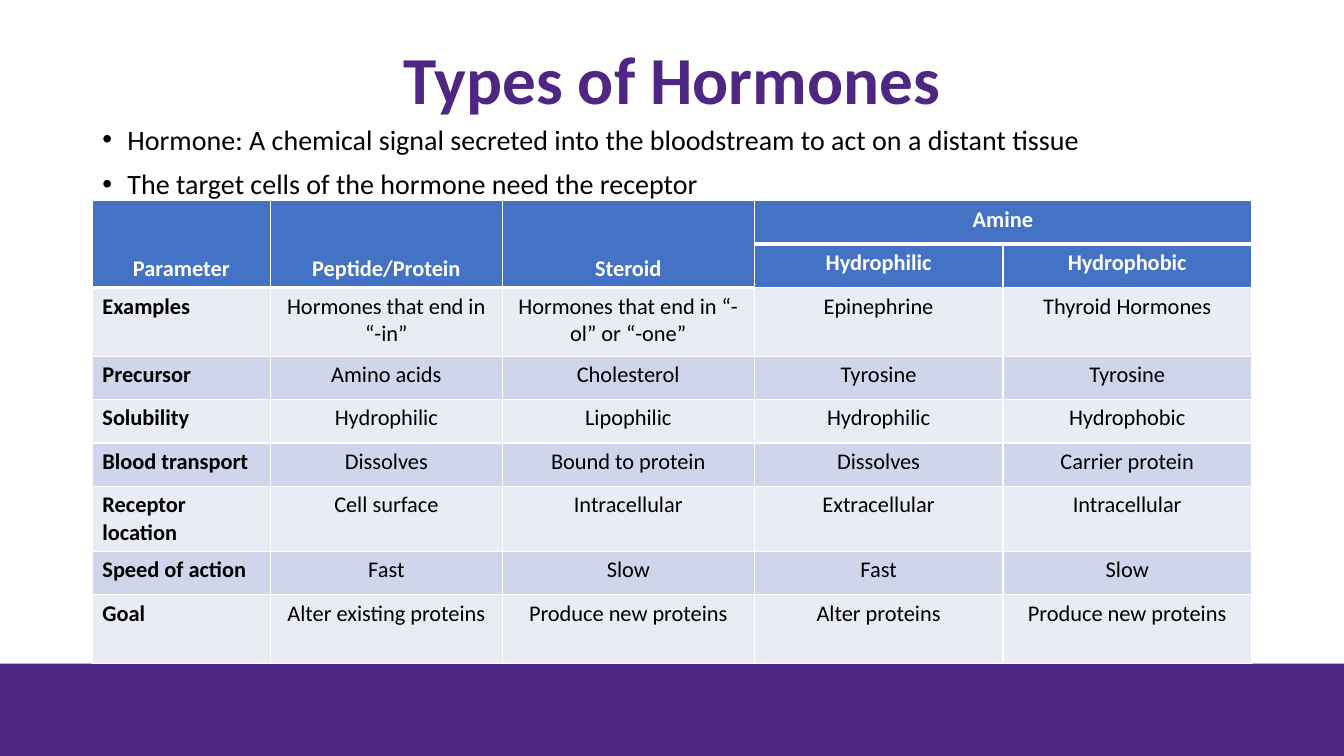
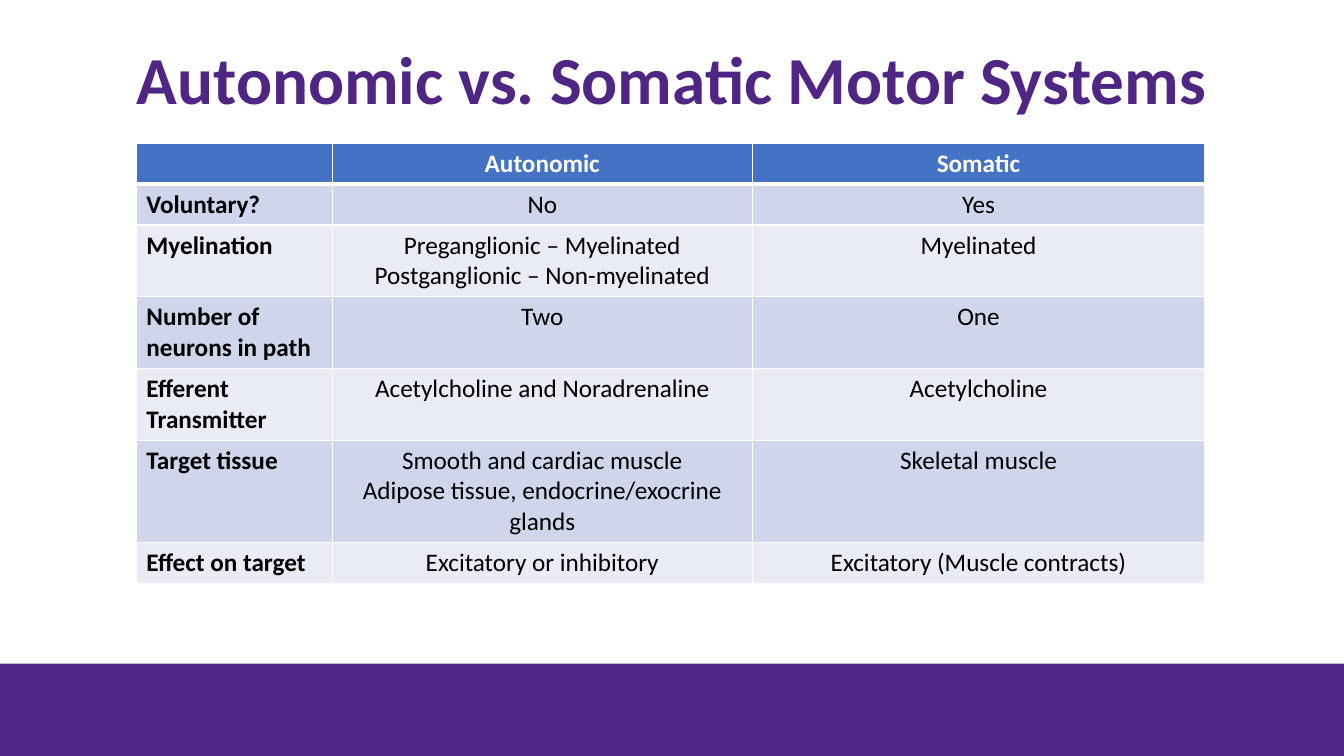
import dataclasses

import pptx
import pptx.dml.color
import pptx.enum.shapes
import pptx.enum.text
import pptx.oxml
import pptx.oxml.ns
import pptx.util

Pt = pptx.util.Pt
ALIGN = pptx.enum.text.PP_ALIGN
ANCHOR = pptx.enum.text.MSO_ANCHOR


@dataclasses.dataclass(frozen=True)
class Theme:
    font: str = "Calibri"
    purple: str = "4F2683"
    header: str = "4472C4"
    band_dark: str = "CFD5EA"
    band_light: str = "E9EBF5"
    white: str = "FFFFFF"
    black: str = "000000"
    title_size: int = 48
    body_size: int = 20
    width: int = 960
    height: int = 540
    margin: int = 66
    footer_top: int = 474


THEME = Theme()

HORMONE_FACTS = [
    "Hormone: A chemical signal secreted into the bloodstream to act on a distant tissue",
    "The target cells of the hormone need the receptor",
]
HORMONE_ROWS = [
    ["Parameter", "Peptide/Protein", "Steroid", "Amine", ""],
    ["", "", "", "Hydrophilic", "Hydrophobic"],
    ["Examples", "Hormones that end in “-in”", "Hormones that end in “-ol” or “-one”",
     "Epinephrine", "Thyroid Hormones"],
    ["Precursor", "Amino acids", "Cholesterol", "Tyrosine", "Tyrosine"],
    ["Solubility", "Hydrophilic", "Lipophilic", "Hydrophilic", "Hydrophobic"],
    ["Blood transport", "Dissolves", "Bound to protein", "Dissolves", "Carrier protein"],
    ["Receptor location", "Cell surface", "Intracellular", "Extracellular", "Intracellular"],
    ["Speed of action", "Fast", "Slow", "Fast", "Slow"],
    ["Goal", "Alter existing proteins", "Produce new proteins", "Alter proteins",
     "Produce new proteins"],
]
MOTOR_ROWS = [
    ["", "Autonomic", "Somatic"],
    ["Voluntary?", "No", "Yes"],
    ["Myelination", "Preganglionic – Myelinated\nPostganglionic – Non-myelinated", "Myelinated"],
    ["Number of neurons in path", "Two", "One"],
    ["Efferent Transmitter", "Acetylcholine and Noradrenaline", "Acetylcholine"],
    ["Target tissue", "Smooth and cardiac muscle\nAdipose tissue, endocrine/exocrine glands",
     "Skeletal muscle"],
    ["Effect on target", "Excitatory or inhibitory", "Excitatory (Muscle contracts)"],
]


def rgb(color):
    return pptx.dml.color.RGBColor.from_string(color)


def add_bullet(p, indent):
    pPr = p._p.get_or_add_pPr()
    pPr.set("marL", str(Pt(indent)))
    pPr.set("indent", str(-Pt(indent)))
    ns = pptx.oxml.ns.nsdecls("a")
    pPr.append(pptx.oxml.parse_xml(f'<a:buFont {ns} typeface="Arial"/>'))
    pPr.append(pptx.oxml.parse_xml(f'<a:buChar {ns} char="•"/>'))


def write_text(tf, lines, size, color=THEME.black, bold=False, align=ALIGN.LEFT,
               line_spacing=None, space_before=0, bullet_indent=0):
    """Fill a text frame with one formatted paragraph per line."""
    tf.word_wrap = True
    for i, line in enumerate(lines):
        p = tf.add_paragraph() if i else tf.paragraphs[0]
        p.alignment = align
        if line_spacing:
            p.line_spacing = line_spacing
        if i and space_before:
            p.space_before = Pt(space_before)
        if bullet_indent:
            add_bullet(p, bullet_indent)
        r = p.add_run()
        r.text = line
        r.font.name = THEME.font
        r.font.size = Pt(size)
        r.font.bold = bold
        r.font.color.rgb = rgb(color)


def add_text(slide, lines, left, top, width, height, anchor=ANCHOR.TOP, **text_format):
    sp = slide.shapes.add_textbox(Pt(left), Pt(top), Pt(width), Pt(height))
    sp.text_frame.vertical_anchor = anchor
    write_text(sp.text_frame, lines, **text_format)


def add_titled_slide(prs, title):
    """Add a slide with the shared title and footer band."""
    slide = prs.slides.add_slide(prs.slide_layouts[6])
    add_text(slide, [title], THEME.margin, 16, THEME.width - 2 * THEME.margin, 86,
             anchor=ANCHOR.MIDDLE, size=THEME.title_size, color=THEME.purple, bold=True,
             align=ALIGN.CENTER, line_spacing=0.9)
    sp = slide.shapes.add_shape(pptx.enum.shapes.MSO_SHAPE.RECTANGLE, 0, Pt(THEME.footer_top),
                                Pt(THEME.width), Pt(THEME.height - THEME.footer_top))
    sp.shadow.inherit = False
    sp.fill.solid()
    sp.fill.fore_color.rgb = rgb(THEME.purple)
    sp.line.fill.background()
    return slide


def set_borders(cell, bottom):
    tcPr = cell._tc.get_or_add_tcPr()
    for side, width in (("L", 1), ("R", 1), ("T", 1), ("B", bottom)):
        tcPr.append(pptx.oxml.parse_xml(
            f'<a:ln{side} {pptx.oxml.ns.nsdecls("a")} w="{Pt(width)}"><a:solidFill>'
            f'<a:srgbClr val="{THEME.white}"/></a:solidFill></a:ln{side}>'))


def add_banded_table(slide, rows, left, top, col_widths, row_heights, size, header_rows=1):
    """Add a table with a blue header, bold row labels and alternating bands."""
    frame = slide.shapes.add_table(len(rows), len(col_widths), Pt(left), Pt(top),
                                   Pt(sum(col_widths)), Pt(sum(row_heights)))
    table = frame.table
    table.first_row = table.horz_banding = False
    for column, width in zip(table.columns, col_widths):
        column.width = Pt(width)
    for i, (row, height) in enumerate(zip(rows, row_heights)):
        table.rows[i].height = Pt(height)
        is_header = i < header_rows
        band = THEME.band_dark if i % 2 else THEME.band_light
        for j, text in enumerate(row):
            cell = table.cell(i, j)
            set_borders(cell, bottom=3 if i == 0 else 1)
            cell.fill.solid()
            cell.fill.fore_color.rgb = rgb(THEME.header if is_header else band)
            if text:
                write_text(cell.text_frame, text.split("\n"), size,
                           color=THEME.white if is_header else THEME.black,
                           bold=is_header or j == 0,
                           align=ALIGN.CENTER if is_header or j else ALIGN.LEFT)
    return table


def add_hormones_slide(prs):
    slide = add_titled_slide(prs, "Types of Hormones")
    add_text(slide, HORMONE_FACTS, THEME.margin, 86.4, THEME.width - 2 * THEME.margin, 58,
             size=THEME.body_size, line_spacing=0.9, space_before=10, bullet_indent=18)
    table = add_banded_table(slide, HORMONE_ROWS, THEME.margin, 143.5,
                             [127.2, 165.6, 180, 177.6, 177.6],
                             [31, 31, 49, 31, 31, 31, 46.5, 31, 49], size=16, header_rows=2)
    # Two-level header
    for j in range(3):
        table.cell(0, j).merge(table.cell(1, j))
        table.cell(0, j).vertical_anchor = ANCHOR.BOTTOM
    table.cell(0, 3).merge(table.cell(0, 4))


def add_motor_slide(prs):
    slide = add_titled_slide(prs, "Autonomic vs. Somatic Motor Systems")
    line_counts = [1, 1, 2, 2, 2, 3, 1]
    add_banded_table(slide, MOTOR_ROWS, 97.4, 102.4, [140, 300, 323.2],
                     [7.2 + 22 * count for count in line_counts], size=18)


def main():
    prs = pptx.Presentation()
    prs.slide_width = Pt(THEME.width)
    prs.slide_height = Pt(THEME.height)
    add_hormones_slide(prs)
    add_motor_slide(prs)
    prs.save("out.pptx")


if __name__ == "__main__":
    main()
